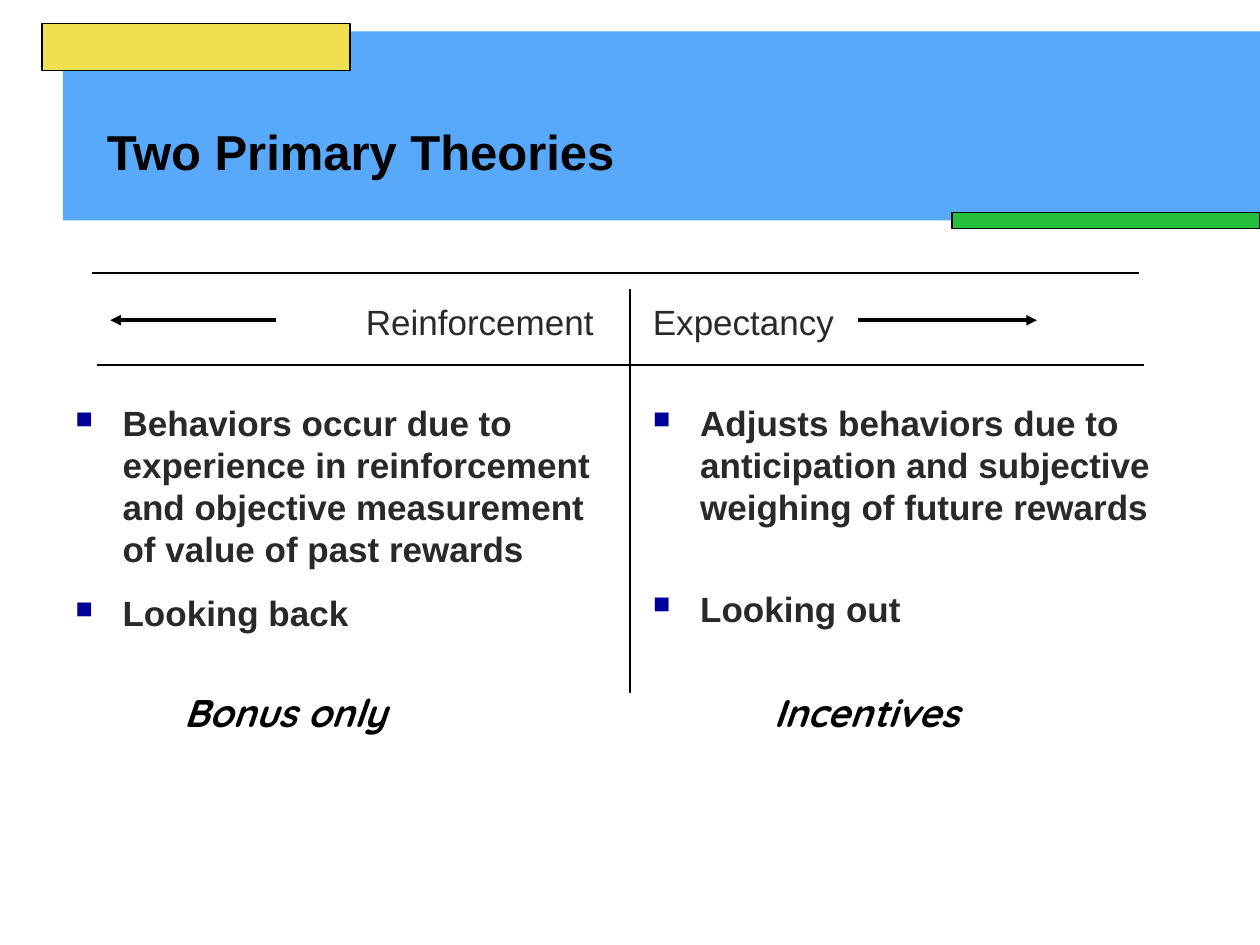
from dataclasses import dataclass
from typing import Optional

from lxml import etree
from pptx import Presentation
from pptx import util as u
from pptx.dml.color import RGBColor
from pptx.enum import shapes, text
from pptx.oxml import ns


@dataclass(frozen=True)
class Theme:
    black: str = "000000"
    body: str = "292929"
    bullet: str = "000099"
    blue: str = "58A9FA"
    green: str = "25BF3B"
    yellow: str = "EFE051"
    font: str = "Arial"
    caption_font: str = "Quicksand"
    title_size: float = 28
    body_size: float = 20
    caption_size: float = 22
    body_leading: float = 24


@dataclass(frozen=True)
class Band:
    left: float
    top: float
    width: float
    height: float
    color: str
    outlined: bool = True


@dataclass(frozen=True)
class Rule:
    x1: float
    y1: float
    x2: float
    y2: float
    weight: float = 1
    arrow: bool = False


@dataclass(frozen=True)
class Point:
    wording: str
    before: float


@dataclass(frozen=True)
class Column:
    left: float
    heading: str
    heading_indent: float
    points: tuple[Point, ...]
    caption: str
    caption_left: float
    caption_width: float


THEME = Theme()

BANDS = (
    Band(36, 18, 684, 108, THEME.blue, outlined=False),
    Band(544, 121.5, 176, 9, THEME.green),
    Band(24, 13.5, 176, 27, THEME.yellow),
)

RULES = (
    Rule(360, 165, 360, 396),
    Rule(157.5, 183, 63, 183, weight=2, arrow=True),
    Rule(490.5, 183, 592.5, 183, weight=2, arrow=True),
    Rule(52.5, 156, 651, 156),
    Rule(55.5, 208.5, 654, 208.5),
)

COLUMNS = (
    Column(36, "Reinforcement", 166, (
        Point("Behaviors occur due to experience in reinforcement and "
              "objective measurement of value of past rewards", 34),
        Point("Looking back", 12.5),
    ), "Bonus only", 98, 133),
    Column(366, "Expectancy", 0, (
        Point("Adjusts behaviors due to anticipation and subjective "
              "weighing of future rewards", 34),
        Point("Looking out", 34),
    ), "Incentives", 435, 127.5),
)


def draw_band(page, band: Band) -> None:
    box = page.shapes.add_shape(
        shapes.MSO_SHAPE.RECTANGLE,
        u.Pt(band.left), u.Pt(band.top), u.Pt(band.width), u.Pt(band.height))
    box.shadow.inherit = False
    box.fill.solid()
    box.fill.fore_color.rgb = RGBColor.from_string(band.color)
    if band.outlined:
        box.line.color.rgb = RGBColor.from_string(THEME.black)
        box.line.width = u.Pt(0.75)
    else:
        box.line.fill.background()


def draw_rule(page, rule: Rule) -> None:
    line = page.shapes.add_connector(
        shapes.MSO_CONNECTOR.STRAIGHT,
        u.Pt(rule.x1), u.Pt(rule.y1), u.Pt(rule.x2), u.Pt(rule.y2))
    line.line.color.rgb = RGBColor.from_string(THEME.black)
    line.line.width = u.Pt(rule.weight)
    if rule.arrow:
        etree.SubElement(line.line._get_or_add_ln(), ns.qn("a:tailEnd"), type="triangle")
    etree.SubElement(line._element.spPr, ns.qn("a:effectLst"))


def add_box(page, left: float, top: float, width: float, height: float,
            wrap: bool = True, anchor=text.MSO_ANCHOR.TOP):
    frame = page.shapes.add_textbox(
        u.Pt(left), u.Pt(top), u.Pt(width), u.Pt(height)).text_frame
    frame.word_wrap = wrap
    frame.vertical_anchor = anchor
    return frame


def add_bullet(para) -> None:
    properties = para._p.get_or_add_pPr()
    properties.set("marL", str(u.Pt(27)))
    properties.set("indent", str(u.Pt(-27)))
    color = etree.SubElement(properties, ns.qn("a:buClr"))
    etree.SubElement(color, ns.qn("a:srgbClr"), val=THEME.bullet)
    etree.SubElement(properties, ns.qn("a:buSzPct"), val="68000")
    etree.SubElement(properties, ns.qn("a:buChar"), char="■")


def write(para, wording: str, *, size: float = THEME.body_size,
          font: str = THEME.font, color: str = THEME.body,
          bold: bool = True, italic: bool = False, bullet: bool = False,
          indent: float = 0, before: float = 0,
          leading: Optional[float] = None) -> None:
    if bullet:
        add_bullet(para)
    elif indent:
        para._p.get_or_add_pPr().set("marL", str(u.Pt(indent)))
    para.space_before = u.Pt(before)
    if leading:
        para.line_spacing = u.Pt(leading)
    span = para.add_run()
    span.text = wording
    span.font.size = u.Pt(size)
    span.font.name = font
    span.font.bold = bold
    span.font.italic = italic
    span.font.color.rgb = RGBColor.from_string(color)


def draw_column(page, column: Column) -> None:
    frame = add_box(page, column.left, 168, 318, 354)
    write(frame.paragraphs[0], column.heading, bold=False,
          indent=column.heading_indent, leading=THEME.body_leading)
    for point in column.points:
        write(frame.add_paragraph(), point.wording, bullet=True,
              before=point.before, leading=THEME.body_leading)


def draw_caption(page, column: Column) -> None:
    frame = add_box(page, column.caption_left, 390, column.caption_width, 33, wrap=False)
    write(frame.paragraphs[0], column.caption, size=THEME.caption_size,
          font=THEME.caption_font, color=THEME.black, italic=True)


def main() -> None:
    deck = Presentation()
    deck.slide_width, deck.slide_height = u.Pt(720), u.Pt(540)
    page = deck.slides.add_slide(deck.slide_layouts[6])
    for band in BANDS:
        draw_band(page, band)
    title = add_box(page, 54, 52, 612, 54.5, anchor=text.MSO_ANCHOR.BOTTOM)
    write(title.paragraphs[0], "Two Primary Theories",
          size=THEME.title_size, color=THEME.black)
    for column in COLUMNS:
        draw_column(page, column)
    for rule in RULES:
        draw_rule(page, rule)
    for column in COLUMNS:
        draw_caption(page, column)
    deck.save("out.pptx")


if __name__ == "__main__":
    main()
